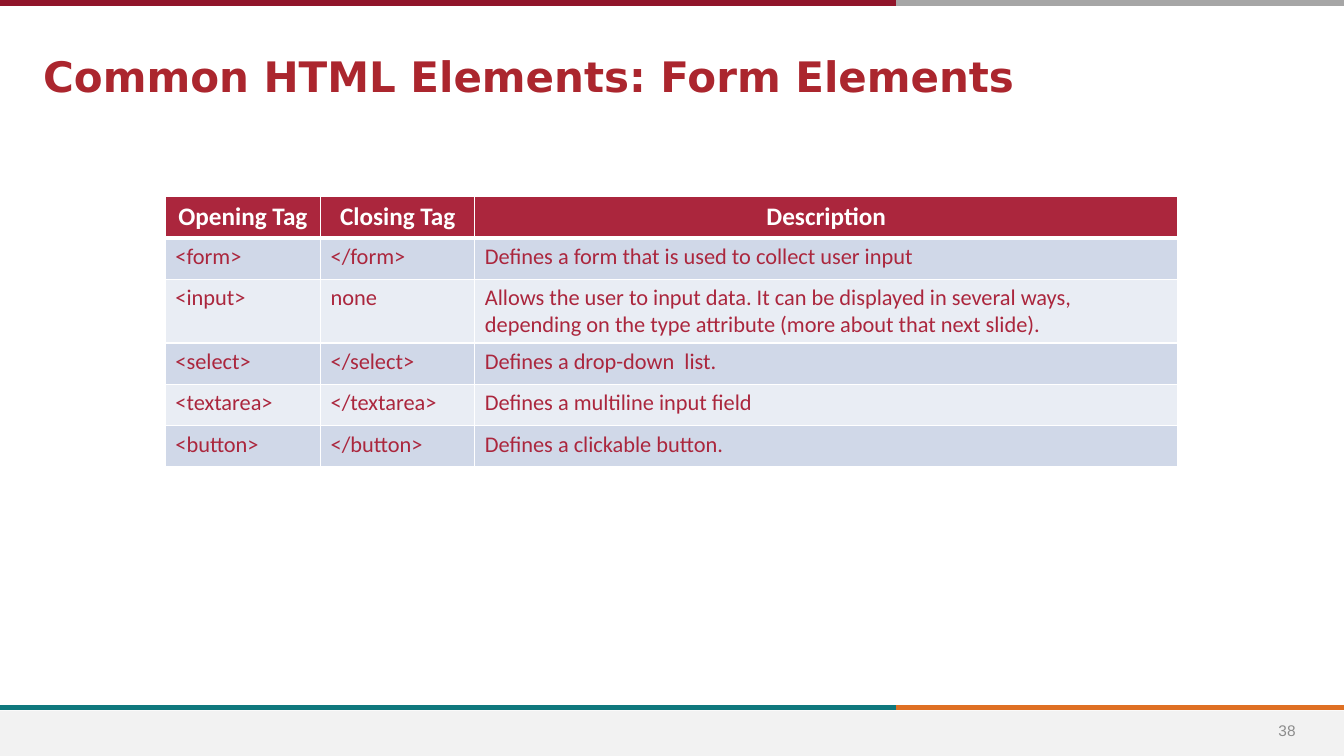
from dataclasses import dataclass

import pptx
import pptx.dml.color
import pptx.enum.shapes
import pptx.enum.text
import pptx.oxml
import pptx.oxml.ns
import pptx.util

Inches = pptx.util.Inches
Pt = pptx.util.Pt
PP_ALIGN = pptx.enum.text.PP_ALIGN
MIDDLE = pptx.enum.text.MSO_ANCHOR.MIDDLE

COLORS = {
    "footer": "F2F2F2", "orange": "DF7023", "teal": "0F787D",
    "gray": "A6A6A6", "maroon": "90152A", "number": "8C8C8C",
    "title": "AB262E", "crimson": "AB263D", "white": "FFFFFF",
    "band_dark": "D0D8E8", "band_light": "E9EDF4",
}
SLIDE_WIDTH, SLIDE_HEIGHT = 13.33, 7.5
RULE_SPLIT = 8.89
ROW_HEIGHT = 0.41
COLUMN_WIDTHS = (1.54, 1.53, 6.97)
ROWS = (
    ("Opening Tag", "Closing Tag", "Description"),
    ("<form>", "</form>", "Defines a form that is used to collect user input"),
    ("<input>", "none",
     "Allows the user to input data. It can be displayed in several ways, "
     "depending on the type attribute (more about that next slide)."),
    ("<select>", "</select>", "Defines a drop-down  list."),
    ("<textarea>", "</textarea>", "Defines a multiline input field"),
    ("<button>", "</button>", "Defines a clickable button."),
)


@dataclass(frozen=True)
class Rule:
    start: float
    end: float
    y: float
    color: str


@dataclass(frozen=True)
class TextStyle:
    font: str
    size: float
    color: str
    bold: bool = False
    align: PP_ALIGN = PP_ALIGN.LEFT


@dataclass(frozen=True)
class Label:
    text: str
    left: float
    top: float
    width: float
    height: float
    style: TextStyle


RULES = (
    Rule(RULE_SPLIT, SLIDE_WIDTH, 7.02, "orange"),
    Rule(0, RULE_SPLIT, 7.02, "teal"),
    Rule(RULE_SPLIT, SLIDE_WIDTH, 0.03, "gray"),
    Rule(0, RULE_SPLIT, 0.03, "maroon"),
)
LABELS = (
    Label("38", 12.42, 7.05, 0.69, 0.4,
          TextStyle("Arial", 11, "number", align=PP_ALIGN.CENTER)),
    Label("Common HTML Elements: Form Elements", 0.33, 0.46, 11.85, 0.59,
          TextStyle("DejaVu Sans", 30, "title", bold=True)),
)
HEADER_STYLE = TextStyle("Calibri", 18, "white", True, PP_ALIGN.CENTER)
BODY_STYLE = TextStyle("Calibri", 16, "crimson")


def rgb(name: str) -> pptx.dml.color.RGBColor:
    return pptx.dml.color.RGBColor.from_string(COLORS[name])


def write_text(frame, text: str, style: TextStyle) -> None:
    para = frame.paragraphs[0]
    para.text = text
    para.alignment = style.align
    para.font.name = style.font
    para.font.size = Pt(style.size)
    para.font.bold = style.bold
    para.font.color.rgb = rgb(style.color)


def add_footer(page) -> None:
    top = 7.05
    box = page.shapes.add_shape(
        pptx.enum.shapes.MSO_SHAPE.RECTANGLE, 0, Inches(top),
        Inches(SLIDE_WIDTH), Inches(SLIDE_HEIGHT - top))
    box.shadow.inherit = False
    box.fill.solid()
    box.fill.fore_color.rgb = rgb("footer")
    box.line.fill.background()


def add_rule(page, rule: Rule) -> None:
    line = page.shapes.add_connector(
        pptx.enum.shapes.MSO_CONNECTOR.STRAIGHT,
        Inches(rule.start), Inches(rule.y), Inches(rule.end), Inches(rule.y))
    line.line.color.rgb = rgb(rule.color)
    line.line.width = Pt(4)
    properties = line._element.spPr
    properties.append(pptx.oxml.parse_xml(
        f"<a:effectLst {pptx.oxml.ns.nsdecls('a')}/>"))


def add_label(page, label: Label) -> None:
    box = page.shapes.add_textbox(
        Inches(label.left), Inches(label.top),
        Inches(label.width), Inches(label.height))
    box.text_frame.word_wrap = True
    box.text_frame.vertical_anchor = MIDDLE
    write_text(box.text_frame, label.text, label.style)


def set_borders(cell, row: int) -> None:
    """Draw white cell borders, thicker between the header and the body."""
    properties = cell._tc.get_or_add_tcPr()
    widths = {"lnL": 1, "lnR": 1,
              "lnT": 3 if row == 1 else 1, "lnB": 3 if row == 0 else 1}
    for index, (tag, width) in enumerate(widths.items()):
        properties.insert(index, pptx.oxml.parse_xml(
            f'<a:{tag} {pptx.oxml.ns.nsdecls("a")} w="{Pt(width)}">'
            f'<a:solidFill><a:srgbClr val="{COLORS["white"]}"/></a:solidFill>'
            f'</a:{tag}>'))


def add_tag_table(page) -> None:
    table = page.shapes.add_table(
        len(ROWS), len(COLUMN_WIDTHS), Inches(1.64), Inches(1.95),
        Inches(sum(COLUMN_WIDTHS)), Inches(ROW_HEIGHT * len(ROWS))).table
    for column, width in zip(table.columns, COLUMN_WIDTHS):
        column.width = Inches(width)
    for row, texts in enumerate(ROWS):
        table.rows[row].height = Inches(ROW_HEIGHT)
        band = "band_dark" if row % 2 else "band_light"
        for column, text in enumerate(texts):
            cell = table.cell(row, column)
            cell.fill.solid()
            cell.fill.fore_color.rgb = rgb(band if row else "crimson")
            set_borders(cell, row)
            write_text(cell.text_frame, text,
                       BODY_STYLE if row else HEADER_STYLE)


def main() -> None:
    deck = pptx.Presentation()
    deck.slide_width = Inches(SLIDE_WIDTH)
    deck.slide_height = Inches(SLIDE_HEIGHT)
    page = deck.slides.add_slide(deck.slide_layouts[6])
    add_footer(page)
    for rule in RULES:
        add_rule(page, rule)
    for label in LABELS:
        add_label(page, label)
    add_tag_table(page)
    deck.save("out.pptx")


if __name__ == "__main__":
    main()
